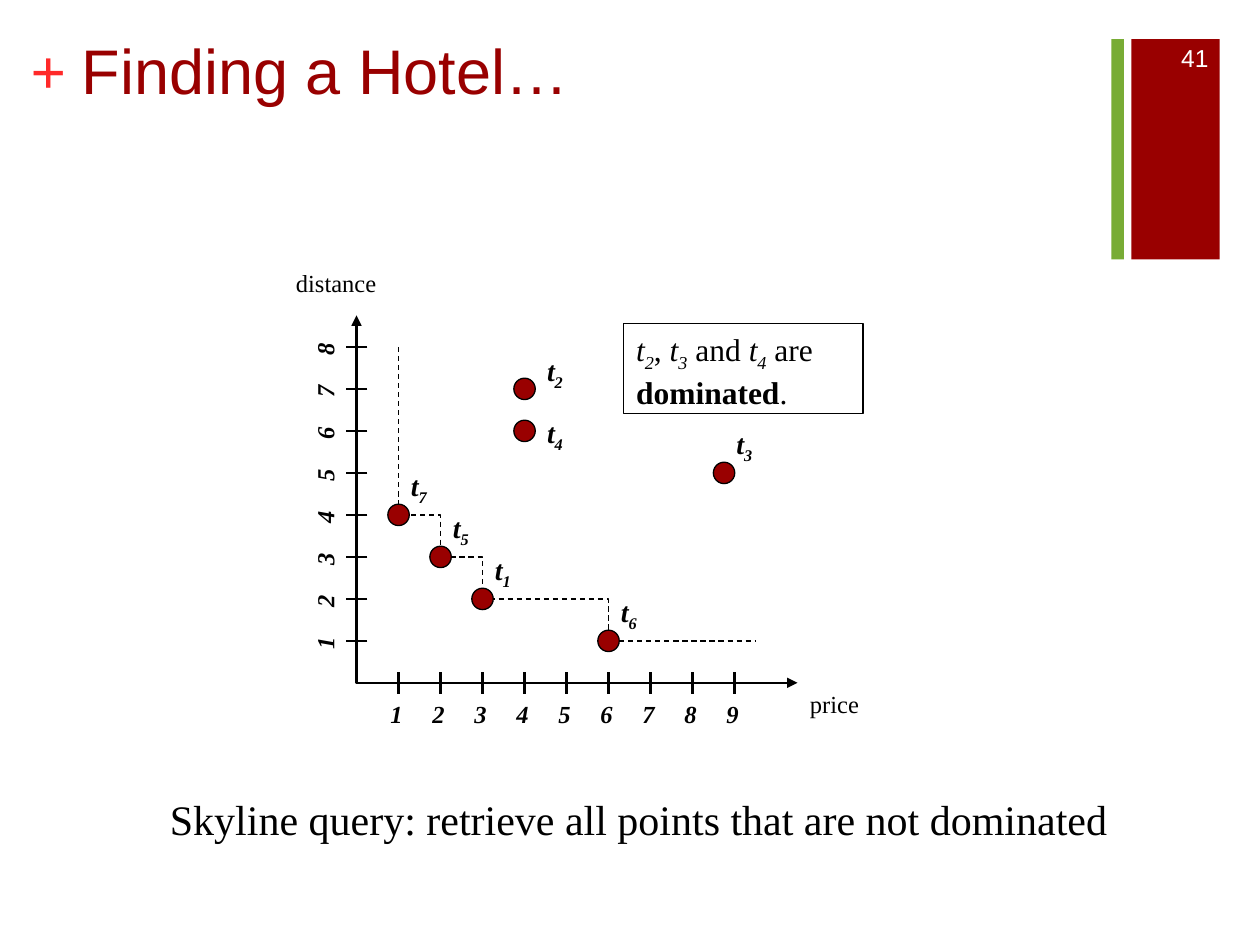
import pptx
import pptx.dml.color
import pptx.enum.dml
import pptx.enum.shapes
import pptx.enum.text
import pptx.oxml
import pptx.oxml.ns
import pptx.util
from pptx.util import Inches

COLORS = {"red": "990000", "plus": "FF2929", "green": "78AC35",
          "black": "000000", "white": "FFFFFF"}
SERIF, SANS = "Times New Roman", "Arial"
MSO_SHAPE = pptx.enum.shapes.MSO_SHAPE
PP_ALIGN = pptx.enum.text.PP_ALIGN
MSO_ANCHOR = pptx.enum.text.MSO_ANCHOR

# Plot geometry: one axis unit is a third of an inch
ORIGIN_X, ORIGIN_Y, UNIT = 2.83, 5.42, 1 / 3
PRICES, DISTANCES = range(1, 10), range(1, 9)
AXIS_END = (10.5, 8.75)
TICK, DOT = 0.17, 0.17

ABOVE = (0, -0.42)
# subscript, price, distance, offset of the label from the point
HOTELS = [
    ("4", 4, 6, (0.08, -0.17)),
    ("2", 4, 7, (0.08, -0.33)),
    ("3", 8.75, 5, ABOVE),
    ("1", 3, 2, ABOVE),
    ("5", 2, 3, ABOVE),
    ("6", 6, 1, ABOVE),
    ("7", 1, 4, ABOVE),
]
SKYLINE = ["7", "5", "1", "6"]
SKYLINE_TOP, SKYLINE_RIGHT = 8, 9.5

# text and its style: i = italic, s = italic subscript, b = bold
DOMINATED = [("t", "i"), ("2", "s"), (", ", ""), ("t", "i"), ("3", "s"),
             (" and ", ""), ("t", "i"), ("4", "s"), (" are ", ""),
             ("dominated", "b"), (".", "")]

# text, box, size, font, colour
TEXTS = [
    ("Finding a Hotel…", (0.55, 0.2, 8.26, 1.22), 36, SANS, "red"),
    ("price", (6.33, 5.42, 0.71, 0.34), 14, SERIF, "black"),
    ("distance", (2.25, 2.08, 1.08, 0.34), 14, SERIF, "black"),
    ("Skyline query: retrieve all points that are not dominated",
     (1.25, 6.25, 8.08, 0.5), 24, SERIF, "black"),
]

prs = pptx.Presentation()
prs.slide_width, prs.slide_height = Inches(10), Inches(7.5)
slide = prs.slides.add_slide(prs.slide_layouts[6])
shapes = slide.shapes


def rgb(name):
    return pptx.dml.color.RGBColor.from_string(COLORS[name])


def plot(price, distance):
    """Slide position in inches of a point in axis units."""
    return ORIGIN_X + price * UNIT, ORIGIN_Y - distance * UNIT


def style_run(run, size, font=SERIF, color="black", bold=False, italic=False):
    run.font.size = pptx.util.Pt(size)
    run.font.name = font
    run.font.color.rgb = rgb(color)
    run.font.bold = bold
    run.font.italic = italic


def add_text(text, box, size, font=SERIF, color="black", **style):
    label = shapes.add_textbox(*map(Inches, box))
    label.text_frame.word_wrap = True
    paragraph = label.text_frame.paragraphs[0]
    paragraph.text = text
    for run in paragraph.runs:
        style_run(run, size, font, color, **style)
    return label


def add_shape(kind, box, fill=None, line=None):
    shape = shapes.add_shape(kind, *map(Inches, box))
    shape.shadow.inherit = False
    if fill:
        shape.fill.solid()
        shape.fill.fore_color.rgb = rgb(fill)
    else:
        shape.fill.background()
    if line:
        shape.line.color.rgb = rgb(line)
        shape.line.width = pptx.util.Pt(0.75)
    else:
        shape.line.fill.background()
    return shape


def add_path(points, width):
    """Open, unfilled outline through points in axis units."""
    start, *rest = [tuple(map(Inches, plot(*point))) for point in points]
    builder = shapes.build_freeform(*start)
    builder.add_line_segments(rest, close=False)
    path = builder.convert_to_shape()
    path.shadow.inherit = False
    path.fill.background()
    path.line.color.rgb = rgb("black")
    path.line.width = pptx.util.Pt(width)
    return path


def add_tick(start, end):
    tick = shapes.add_connector(pptx.enum.shapes.MSO_CONNECTOR.STRAIGHT,
                                *map(Inches, start + end))
    tick.line.color.rgb = rgb("black")
    tick.line.width = pptx.util.Pt(1.5)
    pptx.oxml.ns.qn("a:effectLst")
    properties = tick._element.spPr
    properties.append(properties.makeelement(pptx.oxml.ns.qn("a:effectLst"), {}))


def add_scale(values, box):
    """Axis numbers in one line, a tab stop for each unit."""
    scale = add_text("\t".join(map(str, values)), box, 14, bold=True, italic=True)
    properties = scale.text_frame.paragraphs[0]._p.get_or_add_pPr()
    stops = "".join(f'<a:tab pos="{Inches(i * UNIT)}" algn="l"/>'
                    for i in range(1, len(values)))
    properties.append(pptx.oxml.parse_xml(
        f'<a:tabLst {pptx.oxml.ns.nsdecls("a")}>{stops}</a:tabLst>'))
    return scale


def add_styled_runs(paragraph, parts, size, bold=False):
    for text, kind in parts:
        run = paragraph.add_run()
        run.text = text
        style_run(run, size, bold=bold or kind == "b", italic=kind in ("i", "s"))
        if kind == "s":
            run.font._element.set("baseline", "-25000")


# Frame of the slide
add_shape(MSO_SHAPE.RECTANGLE, (8.98, 0.31, 0.7, 1.75), "red")
add_shape(MSO_SHAPE.RECTANGLE, (8.82, 0.31, 0.1, 1.75), "green")
plus = add_text("+", (0.24, 0.25, 0.29, 0.61), 36, color="plus", bold=True).text_frame
plus.margin_left = plus.margin_right = plus.margin_top = plus.margin_bottom = 0
number = add_text("41", (9.08, 0.26, 0.61, 0.4), 14, SANS, "white").text_frame
number.vertical_anchor = MSO_ANCHOR.MIDDLE
number.paragraphs[0].alignment = PP_ALIGN.RIGHT
for entry in TEXTS:
    add_text(*entry)

# Axes
add_scale(PRICES, (3, 5.5, 3, 0.34))
add_scale(DISTANCES, (1.25, 3.75, 2.66, 0.34)).rotation = 270
axes = add_path([(0, AXIS_END[1]), (0, 0), (AXIS_END[0], 0)], 1.5)
for end in ("headEnd", "tailEnd"):
    axes.line._get_or_add_ln().append(pptx.oxml.parse_xml(
        f'<a:{end} {pptx.oxml.ns.nsdecls("a")} type="triangle"/>'))
for price in PRICES:
    x, y = plot(price, 0)
    add_tick((x, y - TICK / 2), (x, y + TICK / 2))
for distance in DISTANCES:
    x, y = plot(0, distance)
    add_tick((x + TICK / 2, y), (x - TICK / 2, y))

# Skyline: right along each hotel's distance, then down to the next hotel
position = {name: (price, distance) for name, price, distance, _ in HOTELS}
steps = [(position[SKYLINE[0]][0], SKYLINE_TOP)]
for name in SKYLINE:
    price, distance = position[name]
    if name != SKYLINE[0]:
        steps.append((price, steps[-1][1]))
    steps.append((price, distance))
steps.append((SKYLINE_RIGHT, steps[-1][1]))
add_path(steps, 0.75).line.dash_style = pptx.enum.dml.MSO_LINE.DASH

# Hotels
for name, price, distance, (dx, dy) in HOTELS:
    x, y = plot(price, distance)
    add_shape(MSO_SHAPE.OVAL, (x - DOT / 2, y - DOT / 2, DOT, DOT), "red", "black")
    hotel = add_text("", (x + dx, y + dy, 0.36, 0.37), 16)
    add_styled_runs(hotel.text_frame.paragraphs[0], [("t", "i"), (name, "s")], 16, bold=True)

callout = add_shape(MSO_SHAPE.RECTANGLE, (4.95, 2.57, 1.9, 0.71), line="black").text_frame
callout.word_wrap = True
callout.vertical_anchor = MSO_ANCHOR.TOP
callout.paragraphs[0].alignment = PP_ALIGN.LEFT
add_styled_runs(callout.paragraphs[0], DOMINATED, 18)

prs.save("out.pptx")
